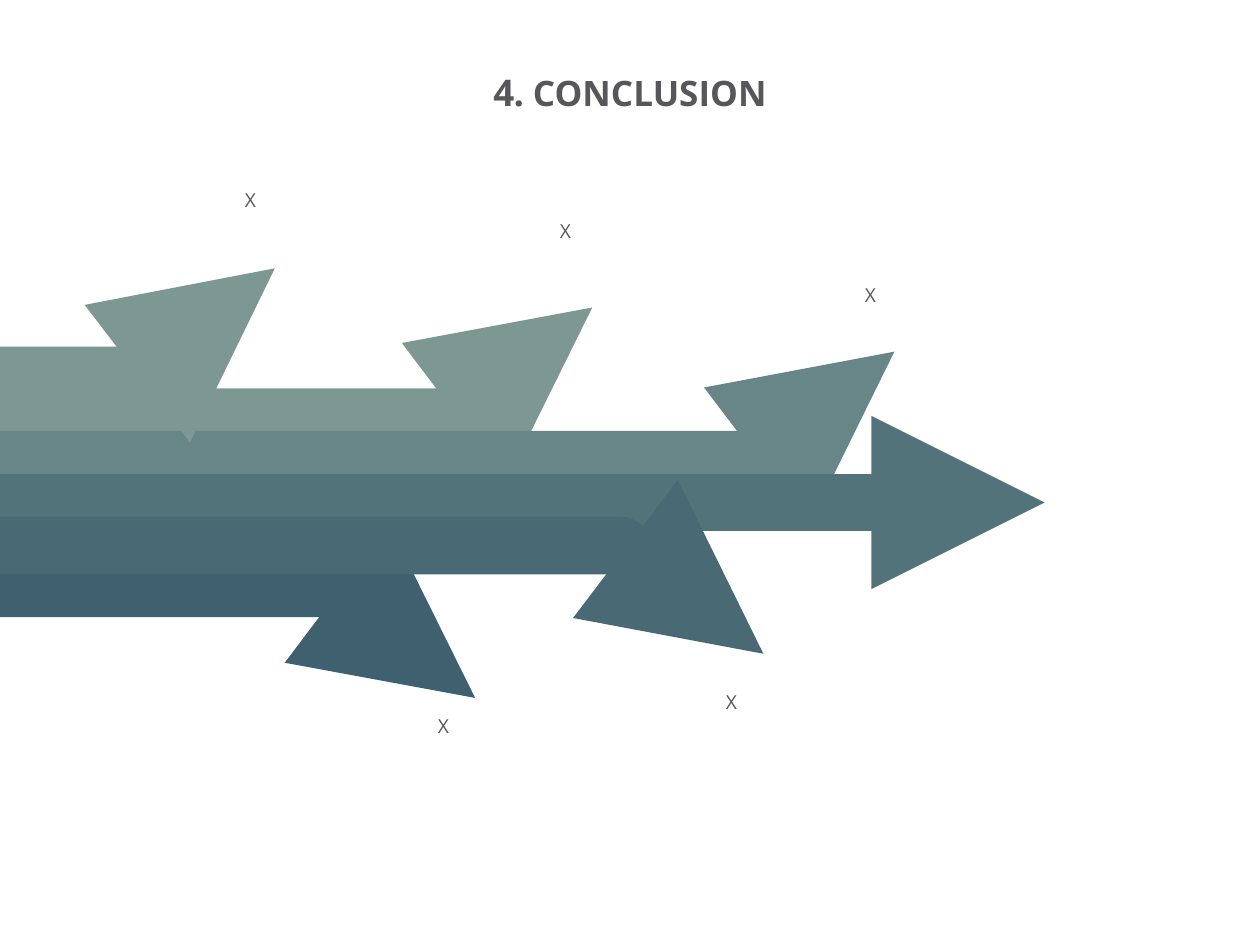
"""Build the conclusion slide: six branching arrows with labels and a title."""
from lxml.etree import SubElement
from pptx import Presentation
from pptx.dml.color import RGBColor
from pptx.enum.shapes import MSO_CONNECTOR
from pptx.enum.text import MSO_ANCHOR, MSO_AUTO_SIZE, PP_ALIGN
from pptx.oxml.ns import qn
from pptx.util import Cm, Pt

COLORS = {
    "sage": "7D9892",
    "moss": "688687",
    "teal": "53737B",
    "slate": "496A75",
    "navy": "3E606F",
    "text": "57565A",
}
LABEL_FRAME = {"word_wrap": True, "auto_size": MSO_AUTO_SIZE.SHAPE_TO_FIT_TEXT}
LABEL_FONT = {"name": "Open Sans", "size": Pt(11)}
TITLE_FRAME = {
    "word_wrap": True,
    "vertical_anchor": MSO_ANCHOR.MIDDLE,
    "margin_left": 0,
    "margin_top": 0,
    "margin_right": 0,
    "margin_bottom": 0,
}
TITLE_FONT = {"name": "Open Sans", "size": Pt(20), "bold": True}


def apply_format(target, values):
    for attribute, value in values.items():
        setattr(target, attribute, value)


def add_run(paragraph, text, font_format):
    run = paragraph.add_run()
    run.text = text
    apply_format(run.font, font_format)
    run.font.color.rgb = RGBColor.from_string(COLORS["text"])
    return run


presentation = Presentation()
presentation.slide_width, presentation.slide_height = Cm(25.4), Cm(19.05)
slide = presentation.slides.add_slide(presentation.slide_layouts[6])
shapes = slide.shapes

arrows = [
    ("sage", [(-3.78, 8.41), (9.02, 8.41), (11.94, 6.2)]),
    ("moss", [(-1.45, 9.27), (15.16, 9.27), (18.03, 7.09)]),
    ("teal", [(-4.24, 10.13), (21.06, 10.13)]),
    ("navy", [(-6.15, 11.86), (6.65, 11.86), (9.58, 14.07)]),
    ("slate", [(-4.06, 11), (12.52, 11), (15.39, 13.18)]),
    ("sage", [(-9.73, 7.57), (2.72, 7.57), (5.54, 5.41)]),
]
for color, route in arrows:
    start, *turns = [(Cm(x), Cm(y)) for x, y in route]
    if len(turns) == 1:
        arrow = shapes.add_connector(MSO_CONNECTOR.STRAIGHT, *start, *turns[0])
        SubElement(arrow.element.spPr, qn("a:effectLst"))
    else:
        builder = shapes.build_freeform(*start)
        builder.add_line_segments(turns, close=False)
        arrow = builder.convert_to_shape()
        arrow.fill.background()
        arrow.shadow.inherit = False
    arrow.line.color.rgb = RGBColor.from_string(COLORS[color])
    arrow.line.width = Pt(33)
    SubElement(arrow.line._get_or_add_ln(), qn("a:tailEnd"), type="triangle")

label_places = [
    (1.27, 3.68, 4.14),
    (8.36, 4.29, 3.4),
    (14.58, 5.59, 3.33),
    (6.63, 14.27, 2.67),
    (12.09, 13.79, 3.02),
]
for left, top, width in label_places:
    label = shapes.add_textbox(Cm(left), Cm(top), Cm(width), Cm(0.74))
    apply_format(label.text_frame, LABEL_FRAME)
    paragraph = label.text_frame.paragraphs[0]
    paragraph.alignment = PP_ALIGN.RIGHT
    add_run(paragraph, "X", LABEL_FONT)

title = shapes.add_textbox(Cm(1.9), Cm(0.79), Cm(21.6), Cm(2.26))
apply_format(title.text_frame, TITLE_FRAME)
heading = title.text_frame.paragraphs[0]
apply_format(heading, {"alignment": PP_ALIGN.CENTER, "line_spacing": 0.86})
number = add_run(heading, "4. ", {**TITLE_FONT, "size": Pt(21)})
number.font._element.set("spc", "-40")
add_run(heading, "CONCLUSION", TITLE_FONT)

presentation.save("out.pptx")
